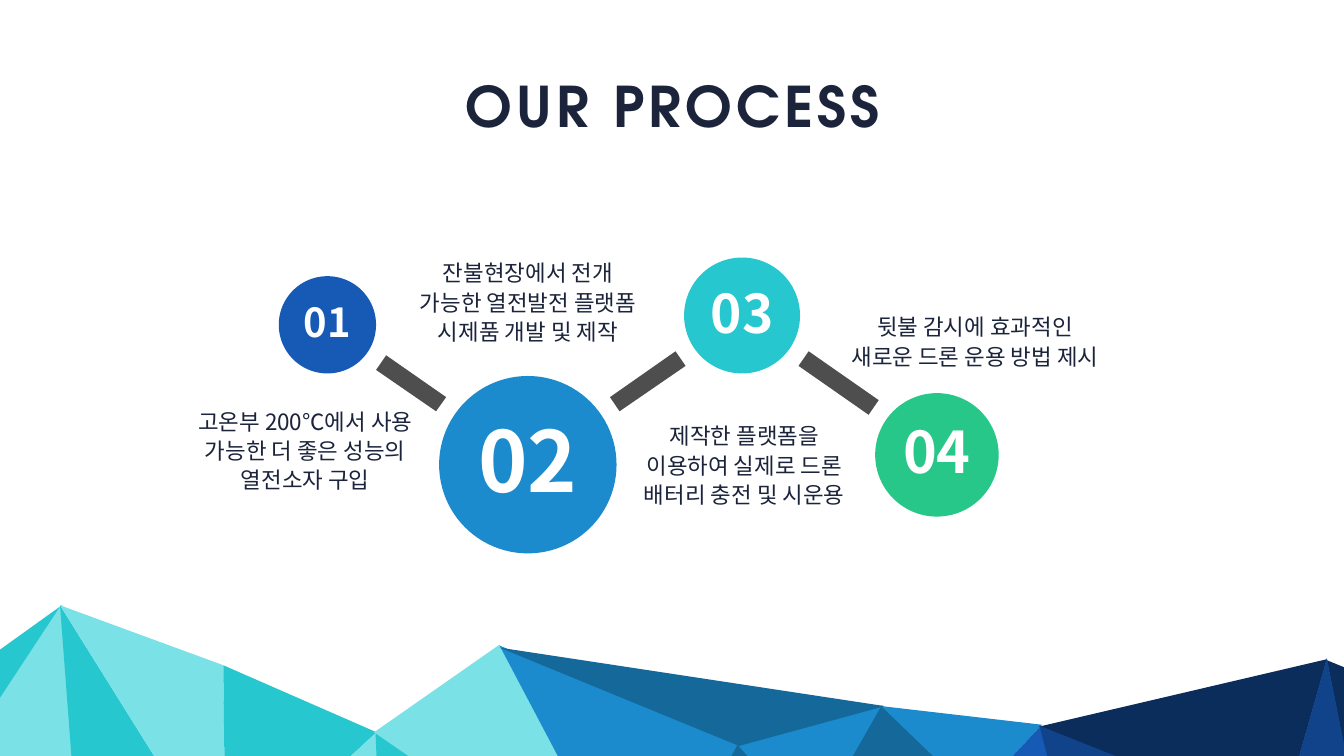
from lxml import etree
from pptx import Presentation
from pptx import util as u
from pptx.dml.color import RGBColor
from pptx.enum import shapes, text
from pptx.oxml.ns import qn

TEAL = RGBColor(0x27, 0xC7, 0xCF)
AQUA = RGBColor(0x7A, 0xE1, 0xE6)
SKY = RGBColor(0x1B, 0x8B, 0xCD)
STEEL = RGBColor(0x14, 0x68, 0x9A)
BLUE = RGBColor(0x16, 0x5A, 0xB6)
ROYAL = RGBColor(0x10, 0x43, 0x89)
NAVY = RGBColor(0x0B, 0x2D, 0x5B)
GREEN = RGBColor(0x27, 0xC7, 0x8A)
GREY = RGBColor(0x4E, 0x4E, 0x4E)
INK = RGBColor(0x1B, 0x24, 0x3B)
WHITE = RGBColor(0xFF, 0xFF, 0xFF)

SANS = "Noto Sans CJK KR"
HEAD = "TeX Gyre Adventor"

PEAKS = [
    (TEAL, [(1.24, 12), (0, 12.89), (0, 13.88)]),
    (AQUA, [(1.57, 16.64), (1.21, 12.01), (-0.02, 13.88), (-0.02, 16.64)]),
    (TEAL, [(4.08, 16.64), (1.19, 12.01), (1.54, 16.64)]),
    (AQUA, [(4.47, 16.64), (4.43, 13.2), (1.19, 12.01), (4.08, 16.64)]),
    (TEAL, [(5.18, 16.64), (7.47, 14.53), (4.43, 13.2), (4.47, 16.64)]),
    (AQUA, [(7.55, 16.64), (7.47, 14.53), (5.18, 16.64)]),
    (TEAL, [(10.52, 16.64), (7.45, 14.53), (7.53, 16.64)]),
    (AQUA, [(11.94, 16.64), (9.91, 12.79), (7.42, 14.53), (10.49, 16.64)]),
    (SKY, [(13.62, 16.66), (14.66, 14.76), (9.91, 12.81), (11.94, 16.66)]),
    (SKY, [(14.61, 14.79), (16.1, 16.47), (17.51, 14)]),
    (STEEL, [(16.08, 16.47), (19.35, 15.8), (17.49, 14)]),
    (SKY, [(17.48, 14.01), (19.34, 15.8), (20.67, 14.38)]),
    (BLUE, [(21.24, 16.71), (20.65, 14.4), (19.31, 15.83), (20.28, 16.71)]),
    (NAVY, [(20.6, 14.42), (25.4, 16.33), (26.32, 13.08)]),
    (ROYAL, [(24.41, 16.71), (25.42, 16.31), (20.62, 14.4), (21.21, 16.71)]),
    (NAVY, [(26.81, 13.3), (26.32, 13.1), (26.81, 15.57)]),
    (ROYAL, [(26.81, 16.71), (26.81, 15.52), (26.32, 13.06), (25.4, 16.31),
             (26, 16.71)]),
    (STEEL, [(9.91, 12.85), (17.55, 14.01), (14.66, 14.8)]),
    (STEEL, [(15.71, 16.68), (16.12, 16.46), (14.63, 14.78), (13.59, 16.68)]),
]

BARS = [
    [(8.85, 7.88), (7.66, 7.05), (7.46, 7.34), (8.65, 8.16)],
    [(13.4, 6.97), (12.1, 7.88), (12.29, 8.16), (13.6, 7.26)],
    [(17.43, 7.94), (16.04, 6.97), (15.84, 7.26), (17.23, 8.23)],
]

STEPS = [
    (5.53, 5.48, 1.93, BLUE, 57),
    (8.71, 7.46, 3.52, SKY, 120),
    (13.57, 5.11, 2.3, TEAL, 76),
    (17.36, 7.8, 2.45, GREEN, 82),
]

NOTES = [
    ((3.67, 7.99, 4.77, 1.87), "고온부 200℃에서 사용 가능한 더 좋은 성능의 열전소자 구입"),
    ((8.09, 5.05, 4.77, 1.87), "잔불현장에서 전개 가능한 열전발전 플랫폼 시제품 개발 및 제작"),
    ((12.38, 8.28, 4.77, 1.87), "제작한 플랫폼을 이용하여 실제로 드론 배터리 충전 및 시운용"),
    ((16.64, 6.12, 5.4, 1.28), "뒷불 감시에 효과적인 새로운 드론 운용 방법 제시"),
]


def assign(item, values):
    for key, value in values.items():
        setattr(item, key, value)


def paint(shape, color):
    shape.shadow.inherit = False
    shape.fill.solid()
    shape.fill.fore_color.rgb = color
    shape.line.fill.background()


def add_facet(slide, color, points):
    start, *rest = [(x * 100, y * 100) for x, y in points]
    pen = slide.shapes.build_freeform(*start, scale=u.Inches(0.01))
    pen.add_line_segments(rest, close=True)
    paint(pen.convert_to_shape(), color)


def write(frame, words, color, font, space=None):
    para = frame.paragraphs[0]
    assign(para, {"alignment": text.PP_ALIGN.CENTER, "line_spacing": space})
    run = para.add_run()
    run.text = words
    assign(run.font, font)
    run.font.color.rgb = color
    east = etree.SubElement(run.font._element, qn("a:ea"))
    east.set("typeface", font["name"])
    return run


def add_step(slide, number, left, top, size, color, points):
    disc = slide.shapes.add_shape(
        shapes.MSO_SHAPE.OVAL, *map(u.Inches, (left, top, size, size)))
    paint(disc, color)
    assign(disc.text_frame, {
        "margin_left": 0, "margin_right": 0, "margin_top": 0,
        "margin_bottom": u.Pt(points * 0.14), "word_wrap": False,
        "vertical_anchor": text.MSO_ANCHOR.MIDDLE})
    write(disc.text_frame, f"{number:02}", WHITE,
          {"name": SANS, "size": u.Pt(points), "bold": True})


def add_text(slide, box, words, font, wrap=True, space=None):
    frame = slide.shapes.add_textbox(*map(u.Inches, box)).text_frame
    assign(frame, {"word_wrap": wrap,
                   "auto_size": text.MSO_AUTO_SIZE.SHAPE_TO_FIT_TEXT})
    return write(frame, words, INK, font, space)


def main():
    deck = Presentation()
    assign(deck, {"slide_width": u.Inches(26.66), "slide_height": u.Inches(15)})
    slide = deck.slides.add_slide(deck.slide_layouts[6])
    for color, points in PEAKS:
        add_facet(slide, color, points)
    for points in BARS:
        add_facet(slide, GREY, points)
    for number, step in enumerate(STEPS, 1):
        add_step(slide, number, *step)
    title = add_text(slide, (8.75, 1.36, 9.2, 1.45), "OUR PROCESS",
                     {"name": HEAD, "size": u.Pt(80), "bold": True}, wrap=False)
    title.font._element.set("spc", "600")
    for box, words in NOTES:
        add_text(slide, box, words, {"name": SANS, "size": u.Pt(32)},
                 space=u.Pt(42))
    deck.save("out.pptx")


if __name__ == "__main__":
    main()
